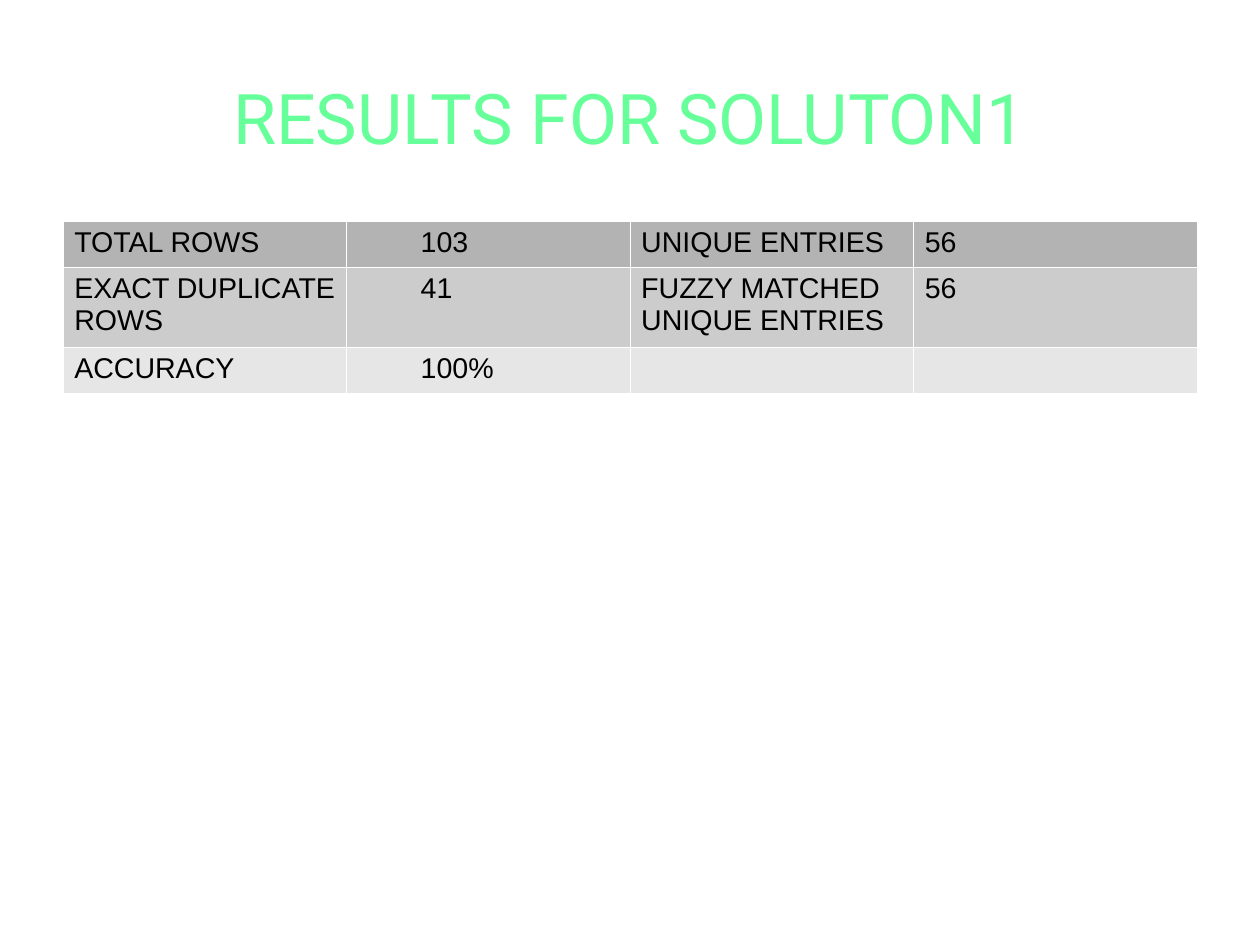
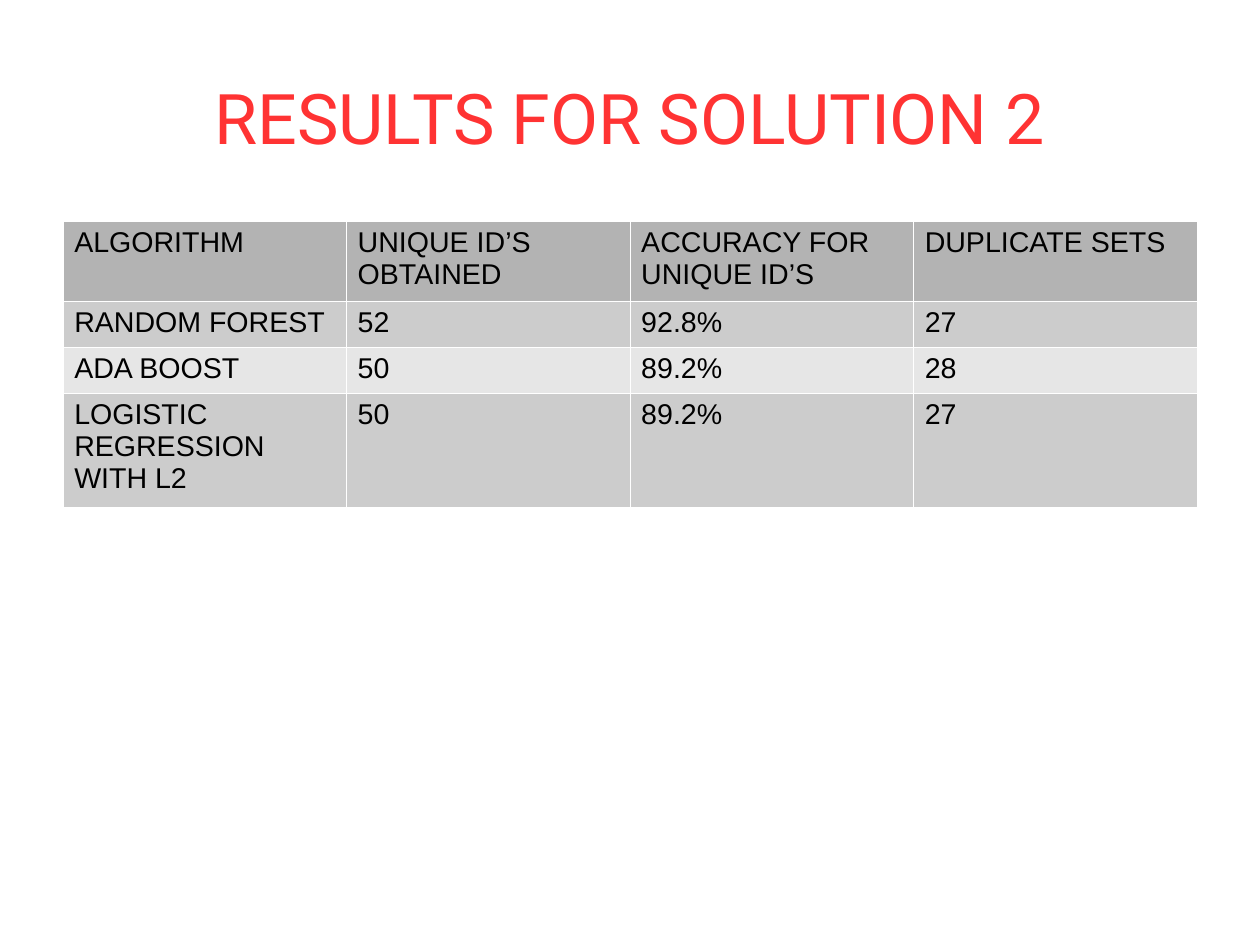
from lxml.etree import SubElement
from pptx import Presentation
from pptx.dml.color import RGBColor
from pptx.enum.text import MSO_ANCHOR, PP_ALIGN
from pptx.oxml import parse_xml
from pptx.oxml.ns import nsdecls, qn
from pptx.util import Cm, Emu, Inches, Pt

GREEN = RGBColor(0x66, 0xFF, 0x99)
RED = RGBColor(0xFF, 0x33, 0x33)
BLACK = RGBColor(0x00, 0x00, 0x00)
WHITE = RGBColor(0xFF, 0xFF, 0xFF)
HEADER_GRAY = RGBColor(0xB3, 0xB3, 0xB3)
BAND_GRAYS = (RGBColor(0xCC, 0xCC, 0xCC), RGBColor(0xE6, 0xE6, 0xE6))


class ResultsDeck:
    title_font, title_size = "Roboto", Pt(44)
    body_font, body_size = "Arial", Pt(18)
    row_height, cell_padding = Inches(0.37), Inches(0.05)
    left_padding, right_padding = Cm(0.25), Inches(0.09)
    border_width = Pt(0.06)
    left, content_width = 0.05, 0.9
    title_top, title_height = 0.04, 1 / 6
    table_top = 0.234

    def __init__(self):
        self.presentation = Presentation()
        self.presentation.slide_width = Cm(28)
        self.presentation.slide_height = Cm(21)
        self.slide = None

    def across(self, share):
        return Emu(int(self.presentation.slide_width * share))

    def down(self, share):
        return Emu(int(self.presentation.slide_height * share))

    def add_slide(self, title, color):
        self.slide = self.presentation.slides.add_slide(self.presentation.slide_layouts[6])
        self.add_title(title, color)

    def style(self, paragraph, font, size, color):
        paragraph.font.name = font
        paragraph.font.size = size
        paragraph.font.color.rgb = color

    def add_title(self, text, color):
        box = self.slide.shapes.add_textbox(
            self.across(self.left), self.down(self.title_top),
            self.across(self.content_width), self.down(self.title_height))
        frame = box.text_frame
        frame.word_wrap = True
        frame.vertical_anchor = MSO_ANCHOR.MIDDLE
        frame.margin_left = frame.margin_right = frame.margin_top = frame.margin_bottom = 0
        paragraph = frame.paragraphs[0]
        paragraph.text = text
        paragraph.alignment = PP_ALIGN.CENTER
        self.style(paragraph, self.title_font, self.title_size, color)

    def add_table(self, rows, indents=None):
        indents = indents or {}
        table = self.slide.shapes.add_table(
            len(rows), len(rows[0]), self.across(self.left), self.down(self.table_top),
            self.across(self.content_width), Emu(self.row_height * len(rows))).table
        for row_index, values in enumerate(rows):
            fill = BAND_GRAYS[(row_index - 1) % 2] if row_index else HEADER_GRAY
            for column_index, value in enumerate(values):
                cell = table.cell(row_index, column_index)
                self.fill_cell(cell, value, fill, indents.get(column_index, 0))

    def fill_cell(self, cell, text, fill, indent):
        cell.margin_left = self.left_padding + indent
        cell.margin_right = self.right_padding
        cell.margin_top = cell.margin_bottom = self.cell_padding
        cell.fill.solid()
        cell.fill.fore_color.rgb = fill
        if text:
            paragraph = cell.text_frame.paragraphs[0]
            paragraph.text = text
            self.style(paragraph, self.body_font, self.body_size, BLACK)
        self.add_borders(cell)

    def add_borders(self, cell):
        properties = cell._tc.get_or_add_tcPr()
        for position, side in enumerate(("lnL", "lnR", "lnT", "lnB")):
            line = parse_xml(f'<a:{side} {nsdecls("a")} w="{self.border_width}"/>')
            solid = SubElement(line, qn("a:solidFill"))
            SubElement(solid, qn("a:srgbClr"), val=str(WHITE))
            properties.insert(position, line)

    def save(self):
        self.presentation.save("out.pptx")


deck = ResultsDeck()

deck.add_slide("RESULTS FOR SOLUTON1", GREEN)
deck.add_table([
    ("TOTAL ROWS", "103", "UNIQUE ENTRIES", "56"),
    ("EXACT DUPLICATE ROWS", "41", "FUZZY MATCHED UNIQUE ENTRIES", "56"),
    ("ACCURACY", "100%", "", ""),
], indents={1: Inches(0.55)})

deck.add_slide("RESULTS FOR SOLUTION 2", RED)
deck.add_table([
    ("ALGORITHM", "UNIQUE ID’S OBTAINED", "ACCURACY FOR UNIQUE ID’S", "DUPLICATE SETS"),
    ("RANDOM FOREST", "52", "92.8%", "27"),
    ("ADA BOOST", "50", "89.2%", "28"),
    ("LOGISTIC REGRESSION WITH L2", "50", "89.2%", "27"),
])

deck.save()
